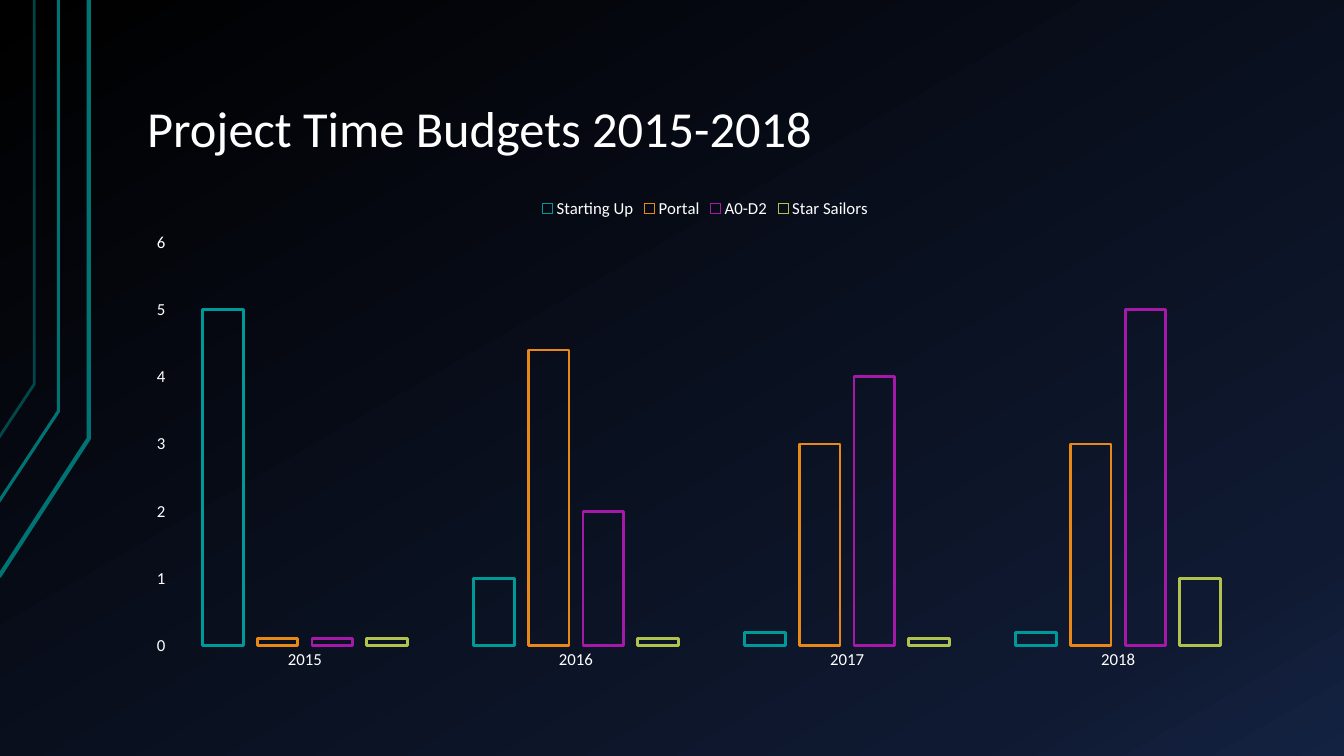
import dataclasses

import pptx
import pptx.chart.data
import pptx.dml.color
import pptx.enum.chart
import pptx.enum.text
import pptx.oxml
import pptx.oxml.ns
import pptx.util

PX = 9144  # one hundredth of an inch, in EMU
FONT = "Calibri"
COLORS = {
    "text": "FFFFFF",
    "trace": "007373",
    "teal": "009999",
    "orange": "E98915",
    "purple": "A419A7",
    "lime": "AFC34D",
}
GRADIENT = ((0, "000000"), (85, "0F1931"), (100, "142242"))
GRADIENT_ANGLE = 60
YEARS = ("2015", "2016", "2017", "2018")


@dataclasses.dataclass(frozen=True)
class Trace:
    points: tuple[tuple[int, int], ...]
    width: float
    opacity: int = 100


@dataclasses.dataclass(frozen=True)
class Project:
    name: str
    budgets: tuple[float, ...]
    color: str


TRACES = (
    Trace(((-1, 572), (88, 435), (88, 0)), 3),
    Trace(((-2, 499), (58, 408), (58, 0)), 2.25),
    Trace(((-1, 434), (34, 381), (34, 0)), 2, 60),
)
PROJECTS = (
    Project("Starting Up", (5, 1, 0.2, 0.2), "teal"),
    Project("Portal", (0.1, 4.4, 3, 3), "orange"),
    Project("A0-D2", (0.1, 2, 4, 5), "purple"),
    Project("Star Sailors", (0.1, 0.1, 0.1, 1), "lime"),
)


def px(length: int) -> pptx.util.Emu:
    return pptx.util.Emu(length * PX)


def rgb(name: str) -> pptx.dml.color.RGBColor:
    return pptx.dml.color.RGBColor.from_string(COLORS[name])


def set_attributes(target, values: dict) -> None:
    for name, value in values.items():
        setattr(target, name, value)


def style_font(font, size: int) -> None:
    set_attributes(font, {"name": FONT, "size": pptx.util.Pt(size), "bold": False})
    font.color.rgb = rgb("text")


def style_line(line, color: str, width: float) -> None:
    line.color.rgb = rgb(color)
    line.width = pptx.util.Pt(width)


def paint_background(slide) -> None:
    fill = slide.background.fill
    fill.gradient()
    gradient = slide._element.find(".//" + pptx.oxml.ns.qn("a:gradFill"))
    stops = "".join(
        f'<a:gs pos="{position * 1000}"><a:srgbClr val="{color}"/></a:gs>'
        for position, color in GRADIENT
    )
    namespace = pptx.oxml.ns.nsdecls("a")
    for child in list(gradient):
        gradient.remove(child)
    gradient.append(pptx.oxml.parse_xml(f"<a:gsLst {namespace}>{stops}</a:gsLst>"))
    gradient.append(pptx.oxml.parse_xml(
        f'<a:lin {namespace} ang="{GRADIENT_ANGLE * 60000}" scaled="0"/>'))


def draw_trace(slide, trace: Trace) -> None:
    start, *rest = trace.points
    builder = slide.shapes.build_freeform(*start, scale=PX)
    builder.add_line_segments(rest, close=False)
    shape = builder.convert_to_shape()
    shape.shadow.inherit = False
    shape.fill.background()
    style_line(shape.line, "trace", trace.width)
    if trace.opacity < 100:
        color = shape._element.spPr.find(".//" + pptx.oxml.ns.qn("a:srgbClr"))
        color.append(pptx.oxml.parse_xml(
            f'<a:alpha {pptx.oxml.ns.nsdecls("a")} val="{trace.opacity * 1000}"/>'))


def draw_title(slide, text: str) -> None:
    frame = slide.shapes.add_textbox(px(133), px(30), px(1133), px(134)).text_frame
    set_attributes(frame, {
        "word_wrap": True,
        "vertical_anchor": pptx.enum.text.MSO_ANCHOR.BOTTOM,
        "margin_left": px(13),
        "margin_right": px(13),
        "margin_top": px(7),
        "margin_bottom": px(7),
    })
    paragraph = frame.paragraphs[0]
    paragraph.line_spacing = 0.9
    run = paragraph.add_run()
    run.text = text
    style_font(run.font, 36)


def clear_chart_fills(chart) -> None:
    chart_space = chart._chartSpace
    chart_part = chart_space.find(pptx.oxml.ns.qn("c:chart"))
    plot_area = chart_part.find(pptx.oxml.ns.qn("c:plotArea"))
    xml = (f'<c:spPr {pptx.oxml.ns.nsdecls("c", "a")}>'
           "<a:noFill/><a:ln><a:noFill/></a:ln></c:spPr>")
    chart_part.addnext(pptx.oxml.parse_xml(xml))
    plot_area.append(pptx.oxml.parse_xml(xml))


def draw_chart(slide) -> None:
    data = pptx.chart.data.CategoryChartData()
    data.categories = YEARS
    for project in PROJECTS:
        data.add_series(project.name, project.budgets)
    chart = slide.shapes.add_chart(
        pptx.enum.chart.XL_CHART_TYPE.COLUMN_CLUSTERED,
        px(133), px(186), px(1133), px(488), data,
    ).chart
    style_font(chart.font, 10)
    set_attributes(chart, {"has_title": False, "has_legend": True})
    clear_chart_fills(chart)

    # Legend
    set_attributes(chart.legend, {
        "position": pptx.enum.chart.XL_LEGEND_POSITION.TOP,
        "include_in_layout": False,
    })
    style_font(chart.legend.font, 12)

    # Axes
    for axis in (chart.category_axis, chart.value_axis):
        set_attributes(axis, {
            "has_major_gridlines": False,
            "major_tick_mark": pptx.enum.chart.XL_TICK_MARK.NONE,
            "minor_tick_mark": pptx.enum.chart.XL_TICK_MARK.NONE,
        })
        axis.format.line.fill.background()
        style_font(axis.tick_labels.font, 12)
    set_attributes(chart.value_axis,
                   {"minimum_scale": 0, "maximum_scale": 6, "major_unit": 1})

    # Outlined columns
    plot = chart.plots[0]
    set_attributes(plot, {"gap_width": 164, "overlap": -35, "vary_by_categories": False})
    for series, project in zip(plot.series, PROJECTS):
        series.format.fill.background()
        style_line(series.format.line, project.color, 2)


def main() -> None:
    presentation = pptx.Presentation()
    set_attributes(presentation, {"slide_width": px(1333), "slide_height": px(750)})
    slide = presentation.slides.add_slide(presentation.slide_layouts[6])
    paint_background(slide)
    for trace in TRACES:
        draw_trace(slide, trace)
    draw_title(slide, "Project Time Budgets 2015-2018")
    draw_chart(slide)
    presentation.save("out.pptx")


if __name__ == "__main__":
    main()
